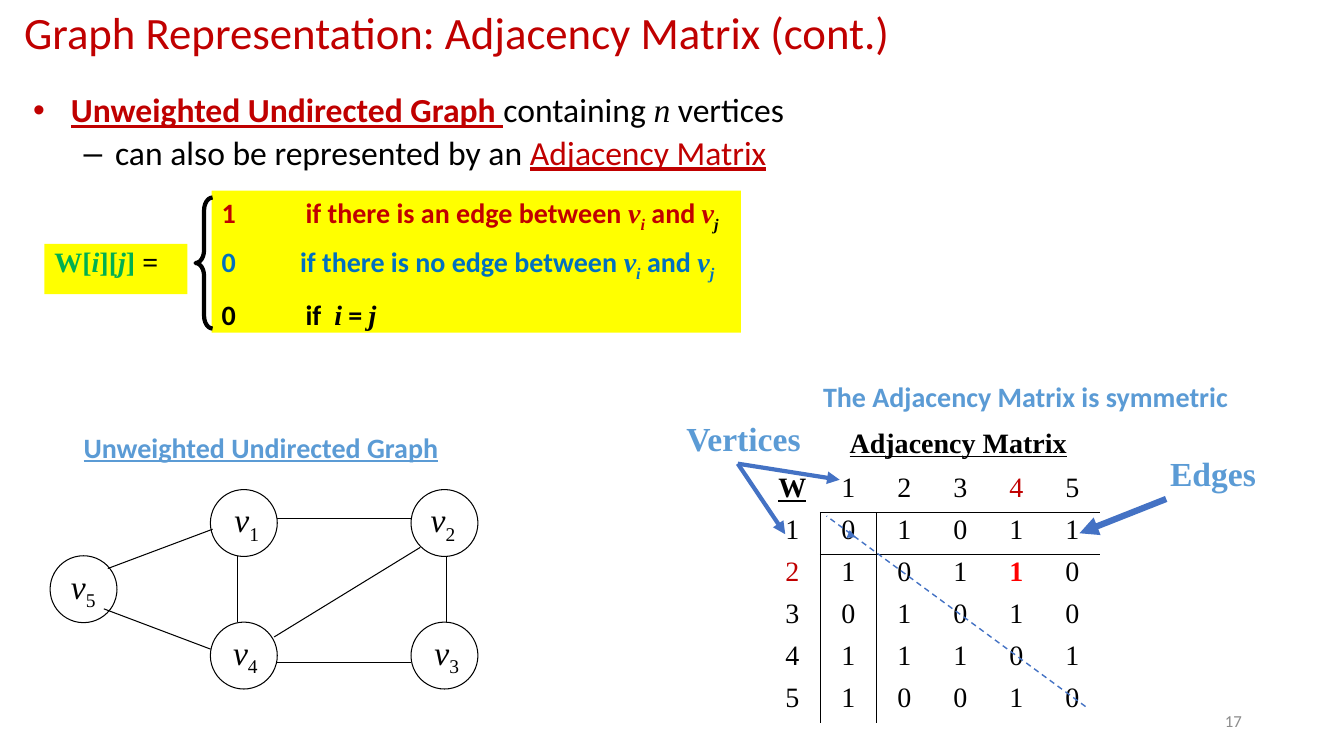
"""Build the slide on adjacency matrices of unweighted undirected graphs."""
from lxml.etree import SubElement
from pptx import Presentation
from pptx.dml.color import RGBColor
from pptx.enum.dml import MSO_LINE
from pptx.enum.shapes import MSO_CONNECTOR, MSO_SHAPE
from pptx.enum.text import MSO_ANCHOR as ANCHOR, MSO_AUTO_SIZE as AUTO, PP_ALIGN as ALIGN
from pptx.oxml.ns import qn
from pptx.util import Pt

BLACK, WHITE, RED, YELLOW = "000000", "FFFFFF", "C00000", "FFFF00"
BLUE, SKY, ARROW, GREEN, GREY = "0070C0", "5B9BD5", "4472C4", "00B050", "8C8C8C"
SANS, SERIF = "Calibri", "Times New Roman"
NO_STYLE = "{2D5ABB26-0587-4C30-8999-92F81FD0307C}"

VAR = {"name": SERIF, "italic": True}
SUB = {**VAR, "sub": True}
V, SUB_I, SUB_J = ("v", VAR), ("i", SUB), ("j", SUB)
STRONG = {"size": 20, "bold": True}

TITLE = [{"runs": ["Graph Representation: Adjacency Matrix (cont.)"],
          "size": 32, "color": RED, "line": 0.9}]
INTRO = [
    {"runs": [("Unweighted Undirected Graph ", {"bold": True, "underline": True, "color": RED}),
              "containing ", ("n", VAR), " vertices"],
     "size": 24, "line": 0.9, "bullet": ("•", RED, 27, -27)},
    {"runs": ["can also be represented by an ",
              ("Adjacency Matrix", {"underline": True, "color": RED})],
     "size": 24, "line": 0.9, "before": 4.8, "bullet": ("–", BLACK, 58.5, -22.5)},
]
CASES = [
    {"runs": ["1\tif there is an edge between ", V, SUB_I, " and ", V,
              ("j", {**SUB, "color": BLACK})],
     "color": RED, "tabs": [60], **STRONG},
    {"runs": ["0\tif there is no edge between ", V, SUB_I, " and ", V, SUB_J],
     "color": BLUE, "tabs": [56], "before": 8, **STRONG},
    {"runs": ["0\tif\t", ("i", VAR), " = ", ("j", VAR)],
     "tabs": [60, 80.5], "before": 10, **STRONG},
]
ENTRY = [{"runs": ["W[", ("i", VAR), "][", ("j", VAR), "] ", ("=", {"color": BLACK})],
          "name": SERIF, "color": GREEN, "line": 0.9, **STRONG}]

LABELS = [
    ("Adjacency Matrix", (599.8, 300.2, 170.6, 31.7),
     {"name": SERIF, "underline": True, **STRONG}),
    ("Vertices", (483.1, 295.2, 97.2, 36), {"name": SERIF, "size": 24, "bold": True, "color": SKY}),
    ("Edges", (828.7, 319.7, 76.3, 36), {"name": SERIF, "size": 24, "bold": True, "color": SKY}),
    ("Unweighted Undirected Graph", (52.6, 303.8, 270, 31.7),
     {"underline": True, "color": SKY, **STRONG}),
]
SYMMETRY = [{"runs": ["The Adjacency Matrix is symmetric"], "color": SKY,
             "align": ALIGN.CENTER, **STRONG}]
NUMBER = [{"runs": ["17"], "size": 12, "color": GREY, "align": ALIGN.RIGHT}]

MATRIX = ["W12345", "101011", "210110", "301010", "411101", "510010"]
MATRIX_LEFT, MATRIX_TOP, COLUMN, ROW = 546, 336.2, 40, 30
CELL_STYLES = {
    (0, 0): {"bold": True, "underline": True},
    (0, 4): {"color": RED},
    (2, 0): {"color": RED},
    (2, 4): {"bold": True, "color": "FF0000"},
}

DIAMETER = 47.8
VERTICES = [("1", 150.3, 349.7, 10.2), ("2", 293.6, 349.7, 7.2), ("4", 150.3, 444.4, 9.2),
            ("3", 293.6, 444.4, 9.7), ("5", 35.8, 397, 7.9)]
EDGES = [(77, 406.1, 151.9, 378), (195.8, 455, 300.2, 391), (169.9, 397, 169.9, 444.4),
         (319, 397, 319, 444.4), (198, 473, 293.8, 473), (198, 370.1, 293.8, 370.1),
         (74.2, 434.9, 150.5, 463.7)]
POINTERS = [((527, 331.2, 599.8, 342.7), 3), ((527, 331.2, 560.9, 381.6), 3),
            ((833, 356.4, 771.1, 380.9), 4.5), ((606.2, 381.6, 611.3, 383.8), 0.5)]
DIAGONAL = (775.4, 504.7, 590.4, 368.6)


def rgb(color):
    return RGBColor.from_string(color)


def set_font(font, style):
    for key in ("name", "bold", "italic", "underline"):
        if key in style:
            setattr(font, key, style[key])
    if "size" in style:
        font.size = Pt(style["size"])
    if "color" in style:
        font.color.rgb = rgb(style["color"])


def write(frame, paragraphs, margins=(7.2, 3.6, 7.2, 3.6), anchor=ANCHOR.TOP, wrap=True):
    frame.margin_left, frame.margin_top, frame.margin_right, frame.margin_bottom = map(Pt, margins)
    frame.vertical_anchor = anchor
    frame.word_wrap = wrap
    for index, style in enumerate(paragraphs):
        paragraph = frame.add_paragraph() if index else frame.paragraphs[0]
        paragraph.alignment = style.get("align", ALIGN.LEFT)
        if "line" in style:
            paragraph.line_spacing = style["line"]
        if "before" in style:
            paragraph.space_before = Pt(style["before"])
        props = paragraph._p.get_or_add_pPr()
        if "bullet" in style:
            mark, color, margin, indent = style["bullet"]
            props.set("marL", str(Pt(margin)))
            props.set("indent", str(Pt(indent)))
            SubElement(SubElement(props, qn("a:buClr")), qn("a:srgbClr"), val=color)
            SubElement(props, qn("a:buFont"), typeface="Arial")
            SubElement(props, qn("a:buChar"), char=mark)
        if "tabs" in style:
            stops = SubElement(props, qn("a:tabLst"))
            for stop in style["tabs"]:
                SubElement(stops, qn("a:tab"), pos=str(Pt(stop)), algn="l")
        set_font(paragraph.font, {"name": SANS, "color": BLACK, **style})
        for piece in style["runs"]:
            text, changes = (piece, {}) if isinstance(piece, str) else piece
            run = paragraph.add_run()
            run.text = text
            set_font(run.font, changes)
            if changes.get("sub"):
                run._r.get_or_add_rPr().set("baseline", "-25000")


def add_text(shapes, place, paragraphs, **layout):
    frame = shapes.add_textbox(*map(Pt, place)).text_frame
    write(frame, paragraphs, **layout)
    return frame


def add_preset(shapes, preset, place, fill=None, line=None, width=0.75):
    shape = shapes.add_shape(preset, *map(Pt, place))
    shape.shadow.inherit = False
    for paint, color in ((shape.fill, fill), (shape.line.fill, line)):
        if color:
            paint.solid()
            paint.fore_color.rgb = rgb(color)
        else:
            paint.background()
    if line:
        shape.line.width = Pt(width)
    return shape


def add_line(shapes, ends, color=BLACK, width=0.75, arrow=False):
    line = shapes.add_connector(MSO_CONNECTOR.STRAIGHT, *map(Pt, ends))
    line.line.color.rgb = rgb(color)
    line.line.width = Pt(width)
    if arrow:
        SubElement(line.line._get_or_add_ln(), qn("a:tailEnd"), type="triangle")
    SubElement(line._element.spPr, qn("a:effectLst"))
    return line


def add_matrix(shapes):
    size = len(MATRIX)
    table = shapes.add_table(size, size, Pt(MATRIX_LEFT), Pt(MATRIX_TOP),
                             Pt(size * COLUMN), Pt(size * ROW)).table
    table.first_row = table.horz_banding = False
    table._tbl.tblPr.find(qn("a:tableStyleId")).text = NO_STYLE
    for r, values in enumerate(MATRIX):
        table.rows[r].height, table.columns[r].width = Pt(ROW), Pt(COLUMN)
        for c, value in enumerate(values):
            cell = table.cell(r, c)
            style = {"runs": [value], "name": SERIF, "size": 20, "align": ALIGN.CENTER}
            write(cell.text_frame, [{**style, **CELL_STYLES.get((r, c), {})}])
            cell.margin_left = cell.margin_right = Pt(3)
            cell.margin_top = cell.margin_bottom = Pt(1.5)
            cell.vertical_anchor = ANCHOR.TOP
            sides = {"lnL": r and c == 1, "lnR": r and c == 0,
                     "lnT": c and r == 1, "lnB": c and r == 0}
            for side, shown in sides.items():
                if shown:
                    border = SubElement(cell._tc.get_or_add_tcPr(), qn("a:" + side), w=str(Pt(1)))
                    SubElement(SubElement(border, qn("a:solidFill")), qn("a:srgbClr"), val=BLACK)
            cell.fill.background()


def main():
    deck = Presentation()
    deck.slide_width, deck.slide_height = Pt(960), Pt(540)
    shapes = deck.slides.add_slide(deck.slide_layouts[6]).shapes

    add_text(shapes, (10.1, 2.2, 831.6, 45.4), TITLE, anchor=ANCHOR.MIDDLE)
    add_text(shapes, (16.6, 63.4, 923, 57.6), INTRO)
    for place, content in (((151.2, 136.1, 378, 101.5), CASES),
                           ((31.7, 174.2, 102.2, 36), ENTRY)):
        write(add_preset(shapes, MSO_SHAPE.RECTANGLE, place, YELLOW).text_frame, content)
    brace = add_preset(shapes, MSO_SHAPE.LEFT_BRACE, (139.7, 141.1, 12.2, 93.6), None, BLACK, 3)
    brace.adjustments[0], brace.adjustments[1] = 0.75, 0.5

    add_matrix(shapes)
    for text, place, style in LABELS:
        label = add_text(shapes, place, [{"runs": [text], **style}], wrap=False)
        label.auto_size = AUTO.SHAPE_TO_FIT_TEXT
    for ends, width in POINTERS:
        add_line(shapes, ends, ARROW, width, arrow=True)

    graph = shapes.add_group_shape().shapes
    for number, left, top, margin in VERTICES:
        vertex = add_preset(graph, MSO_SHAPE.OVAL, (left, top, DIAMETER, DIAMETER), WHITE, BLACK)
        name = {"runs": [V, (number, {"sub": True})], "name": SERIF, "size": 24}
        write(vertex.text_frame, [name], margins=(margin, 0, 0, 3.6))
    for ends in EDGES:
        add_line(graph, ends)

    add_line(shapes, DIAGONAL, ARROW, 1).line.dash_style = MSO_LINE.DASH
    add_text(shapes, (565.9, 267.8, 333.4, 31.7), SYMMETRY)
    add_text(shapes, (678.2, 500.4, 216, 28.8), NUMBER, anchor=ANCHOR.MIDDLE)
    deck.save("out.pptx")


if __name__ == "__main__":
    main()
